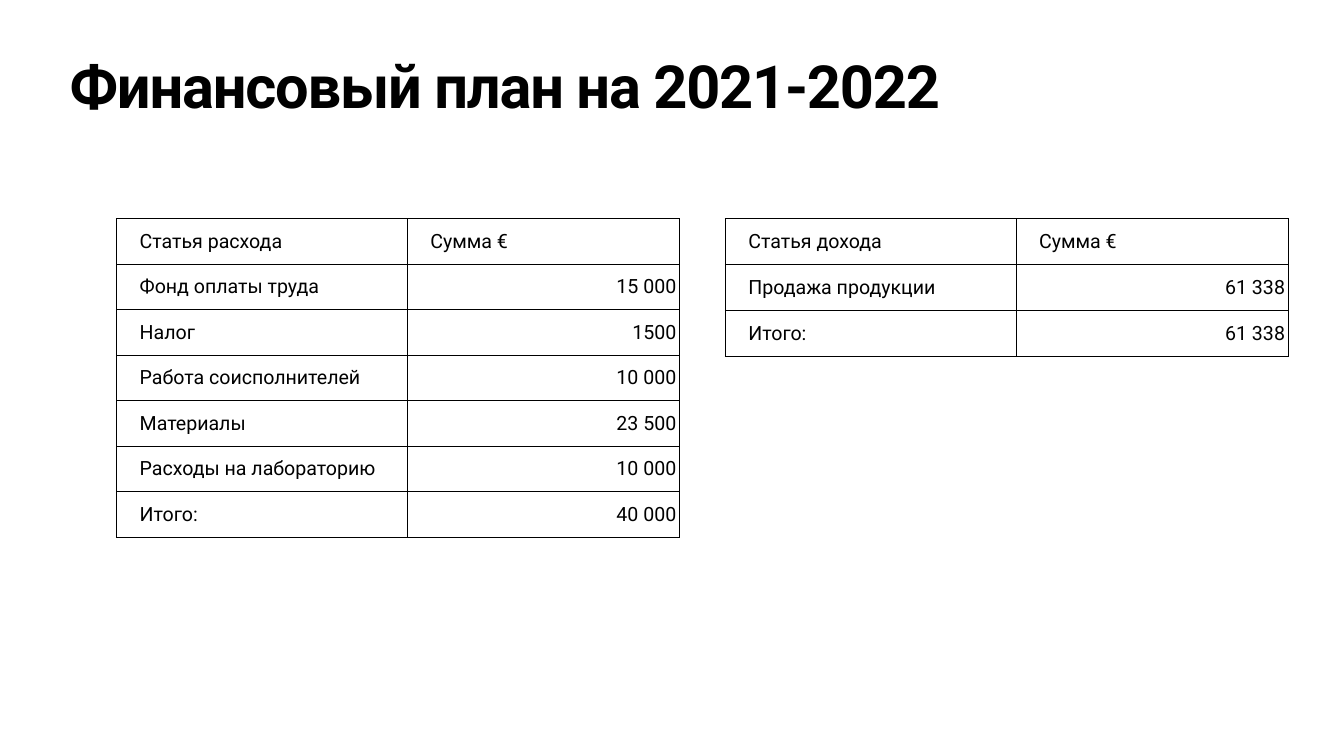
from dataclasses import dataclass

from lxml.etree import SubElement
from pptx import Presentation
from pptx.dml.color import RGBColor
from pptx.enum.text import MSO_ANCHOR, MSO_AUTO_SIZE, PP_ALIGN
from pptx.oxml.ns import qn
from pptx.util import Inches, Pt

INK = RGBColor(0x00, 0x00, 0x00)
PAPER = RGBColor(0xFF, 0xFF, 0xFF)
WIDTH, HEIGHT = Inches(26.67), Inches(15)
COLUMN_SHARES = (21.63, 20.28)
TABLE_TOP = 28.93

EXPENSES = [
    ("Статья расхода", "Сумма €"),
    ("Фонд оплаты труда", "15 000"),
    ("Налог", "1500"),
    ("Работа соисполнителей", "10 000"),
    ("Материалы", "23 500"),
    ("Расходы на лабораторию", "10 000"),
    ("Итого:", "40 000"),
]
INCOME = [
    ("Статья дохода", "Сумма €"),
    ("Продажа продукции", "61 338"),
    ("Итого:", "61 338"),
]


@dataclass
class FinanceSlide:
    """Styled elements on one slide, placed in percent of its size."""

    page: object
    font_name: str = "Roboto"
    title_size: int = 85
    cell_size: int = 28

    def place(self, left, top, width, height):
        return (int(WIDTH * left / 100), int(HEIGHT * top / 100),
                int(WIDTH * width / 100), int(HEIGHT * height / 100))

    def style(self, span, size, bold=False):
        span.font.name = self.font_name
        span.font.size = Pt(size)
        span.font.bold = bold
        span.font.color.rgb = INK

    def title(self, text, *area):
        box = self.page.shapes.title
        box.left, box.top, box.width, box.height = self.place(*area)
        frame = box.text_frame
        frame.text = text
        frame.word_wrap = True
        frame.auto_size = MSO_AUTO_SIZE.NONE
        frame.vertical_anchor = MSO_ANCHOR.TOP
        frame.margin_left = frame.margin_right = Inches(0.06)
        frame.margin_top = frame.margin_bottom = Inches(0.06)
        para = frame.paragraphs[0]
        para.alignment = PP_ALIGN.LEFT
        para.line_spacing = 0.8
        para.space_before = Pt(0)
        span = para.runs[0]
        self.style(span, self.title_size, bold=True)
        span.font._element.set("spc", "-170")

    def border(self, cell):
        properties = cell._tc.get_or_add_tcPr()
        for position, side in enumerate(("lnL", "lnR", "lnT", "lnB")):
            line = properties.makeelement(qn(f"a:{side}"), {"w": str(Pt(1))})
            properties.insert(position, line)
            fill = SubElement(line, qn("a:solidFill"))
            SubElement(fill, qn("a:srgbClr"), val=str(INK))

    def cell(self, cell, text, alignment):
        cell.text_frame.text = text
        cell.margin_left = cell.margin_right = Inches(0.07)
        cell.margin_top = cell.margin_bottom = 0
        cell.fill.solid()
        cell.fill.fore_color.rgb = PAPER
        self.border(cell)
        para = cell.text_frame.paragraphs[0]
        para.alignment = alignment
        para.line_spacing = 1.5
        para._p.get_or_add_pPr().set("indent", str(Inches(0.39)))
        self.style(para.runs[0], self.cell_size)

    def table(self, records, left, row_share):
        area = self.place(left, TABLE_TOP, sum(COLUMN_SHARES), row_share * len(records))
        table = self.page.shapes.add_table(len(records), len(COLUMN_SHARES), *area).table
        table.first_row = table.horz_banding = False
        for column, share in zip(table.columns, COLUMN_SHARES):
            column.width = int(WIDTH * share / 100)
        for row, record in enumerate(records):
            table.rows[row].height = int(HEIGHT * row_share / 100)
            for column, text in enumerate(record):
                is_amount = row > 0 and column == 1
                alignment = PP_ALIGN.RIGHT if is_amount else PP_ALIGN.JUSTIFY
                self.cell(table.cell(row, column), text, alignment)


def main():
    deck = Presentation()
    deck.slide_width, deck.slide_height = WIDTH, HEIGHT
    page = deck.slides.add_slide(deck.slide_layouts[5])
    page.background.fill.solid()
    page.background.fill.fore_color.rgb = PAPER
    slide = FinanceSlide(page)
    slide.table(EXPENSES, left=8.67, row_share=6.02)
    slide.title("Финансовый план на 2021-2022", 4.95, 7.87, 90.1, 10.47)
    slide.table(INCOME, left=53.96, row_share=6.08)
    deck.save("out.pptx")


if __name__ == "__main__":
    main()
